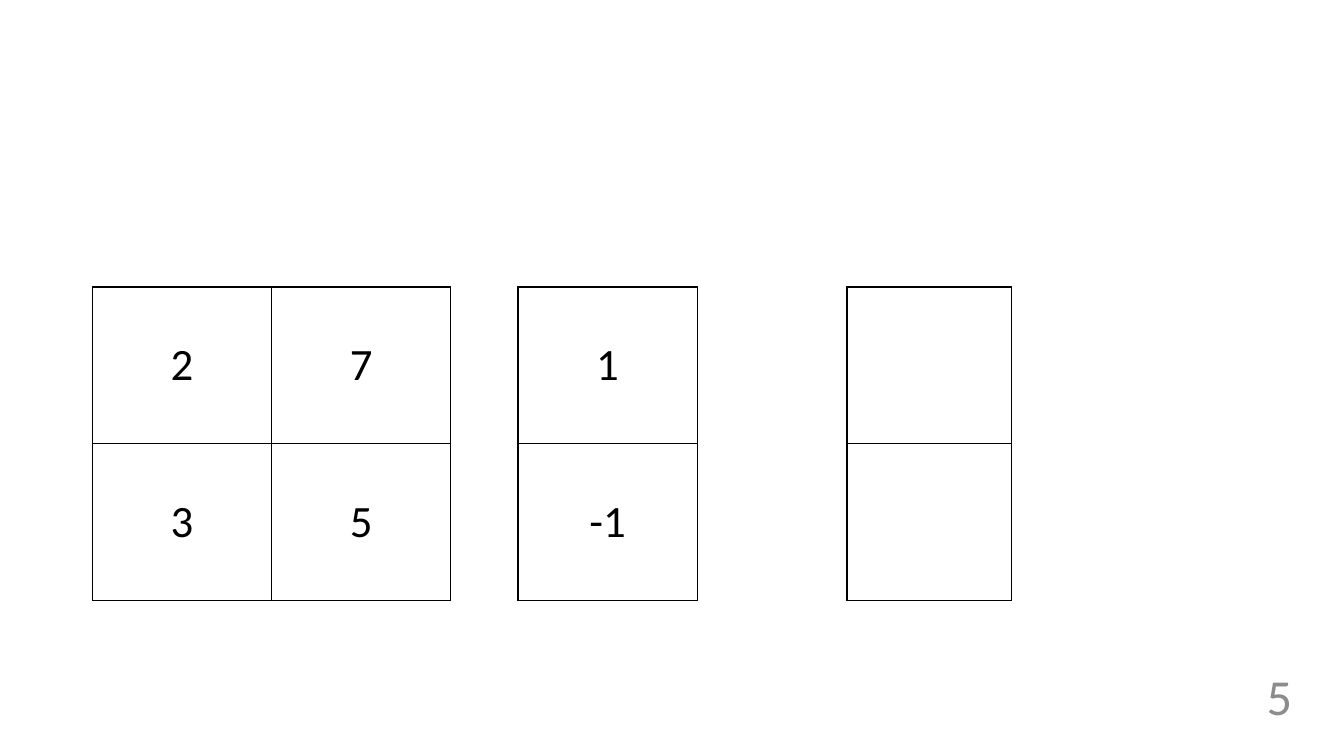
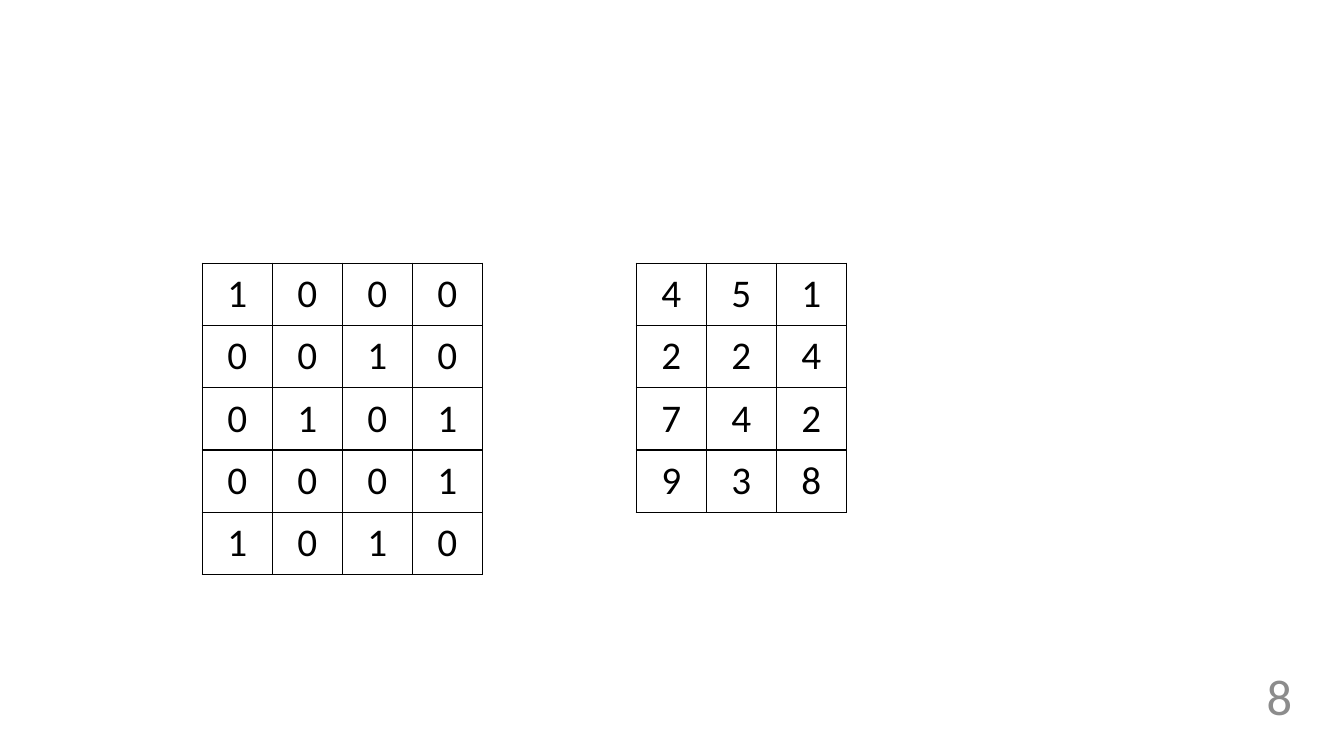
from dataclasses import dataclass

from lxml.etree import SubElement
from pptx import Presentation
from pptx.dml.color import RGBColor
from pptx.enum.text import MSO_ANCHOR as Anchor, PP_ALIGN as Align
from pptx.oxml.ns import qn
from pptx.slide import Slide
from pptx.table import _Cell as Cell
from pptx.text.text import TextFrame
from pptx.util import Emu, Pt

EMU_PER_PX = 6350
BLANK_LAYOUT = 6


@dataclass(frozen=True)
class Theme:
    font: str = "Calibri"
    ink: str = "000000"
    page_number: str = "8C8C8C"
    page_number_size: int = 36
    border_width: int = 1


@dataclass(frozen=True)
class Matrix:
    left: int
    top: int
    cell_width: int
    cell_height: int
    text_size: int
    rows: tuple[tuple[str, ...], ...]


@dataclass(frozen=True)
class Page:
    number: str
    matrices: tuple[Matrix, ...]


THEME = Theme()

PAGES = (
    Page("5", (
        Matrix(132, 410, 256, 224, 32, (("2", "7"), ("3", "5"))),
        Matrix(1210, 410, 235, 224, 32, (("",), ("",))),
        Matrix(740, 410, 256, 224, 32, (("1",), ("-1",))),
    )),
    Page("8", (
        Matrix(289, 376, 100, 89, 28, (
            ("1", "0", "0", "0"),
            ("0", "0", "1", "0"),
            ("0", "1", "0", "1"),
            ("0", "0", "0", "1"),
            ("1", "0", "1", "0"),
        )),
        Matrix(909, 376, 100, 89, 28, (
            ("4", "5", "1"),
            ("2", "2", "4"),
            ("7", "4", "2"),
            ("9", "3", "8"),
        )),
    )),
)


def px(length: int) -> Emu:
    return Emu(length * EMU_PER_PX)


def write(frame: TextFrame, text: str, size: int, color: str, align: Align) -> None:
    paragraph = frame.paragraphs[0]
    paragraph.alignment = align
    run = paragraph.add_run()
    run.text = text
    run.font.name = THEME.font
    run.font.size = Pt(size)
    run.font.color.rgb = RGBColor.from_string(color)


def set_borders(cell: Cell) -> None:
    properties = cell._tc.get_or_add_tcPr()
    for side in ("lnL", "lnR", "lnT", "lnB"):
        line = SubElement(properties, qn(f"a:{side}"), w=str(Pt(THEME.border_width)))
        fill = SubElement(line, qn("a:solidFill"))
        SubElement(fill, qn("a:srgbClr"), val=THEME.ink)


def add_matrix(slide: Slide, matrix: Matrix) -> None:
    row_count, column_count = len(matrix.rows), len(matrix.rows[0])
    table = slide.shapes.add_table(
        row_count, column_count, px(matrix.left), px(matrix.top),
        px(matrix.cell_width * column_count), px(matrix.cell_height * row_count),
    ).table
    table.first_row = False
    table.horz_banding = False
    for row_index, values in enumerate(matrix.rows):
        for column_index, value in enumerate(values):
            cell = table.cell(row_index, column_index)
            set_borders(cell)
            cell.fill.background()
            cell.vertical_anchor = Anchor.MIDDLE
            if value:
                write(cell.text_frame, value, matrix.text_size, THEME.ink, Align.CENTER)


def add_page_number(slide: Slide, number: str) -> None:
    frame = slide.shapes.add_textbox(px(1680), px(932), px(180), px(124)).text_frame
    frame.word_wrap = True
    frame.vertical_anchor = Anchor.MIDDLE
    write(frame, number, THEME.page_number_size, THEME.page_number, Align.RIGHT)


def main() -> None:
    presentation = Presentation()
    presentation.slide_width = px(1920)
    presentation.slide_height = px(1080)
    for page in PAGES:
        slide = presentation.slides.add_slide(presentation.slide_layouts[BLANK_LAYOUT])
        for matrix in page.matrices:
            add_matrix(slide, matrix)
        add_page_number(slide, page.number)
    presentation.save("out.pptx")


if __name__ == "__main__":
    main()
